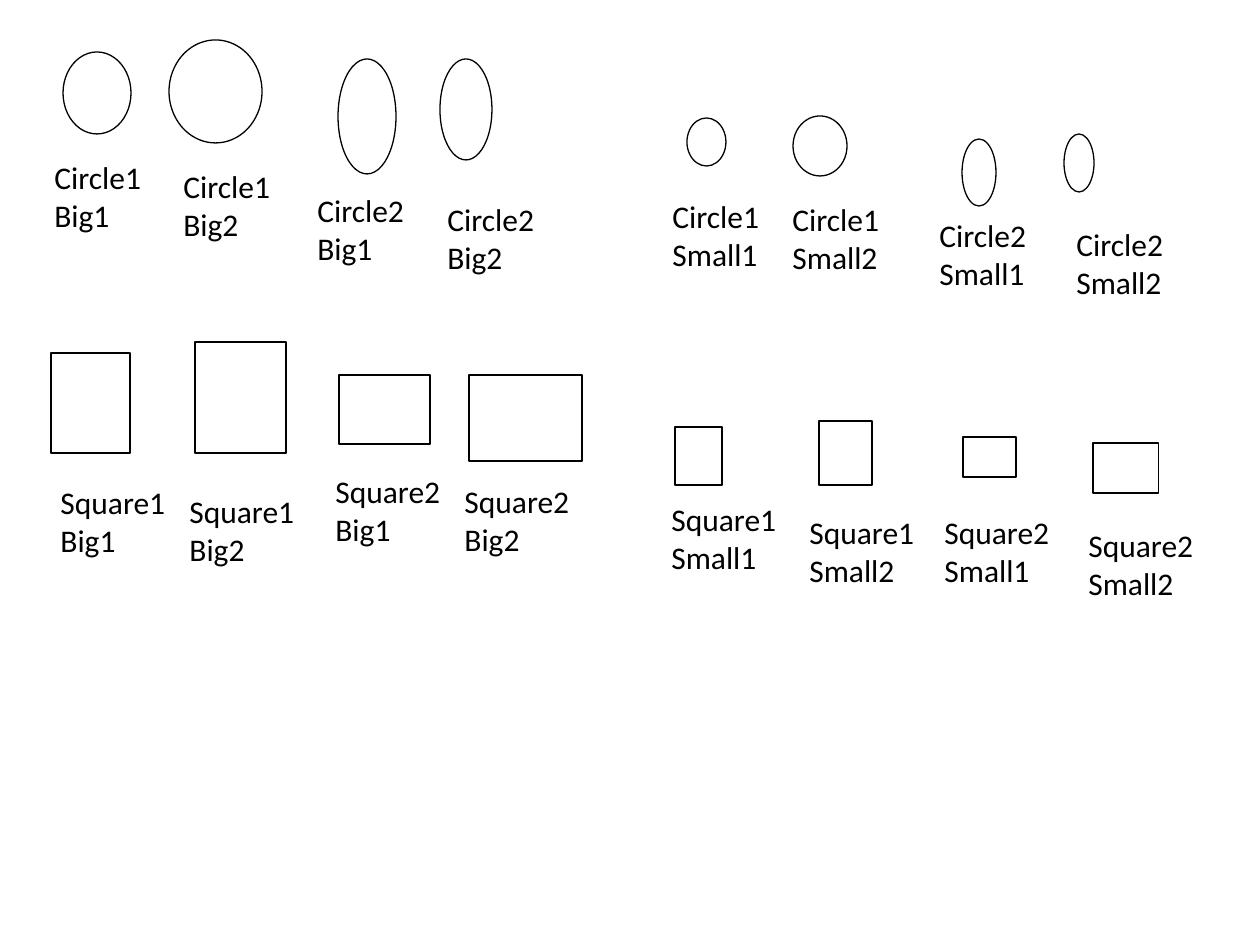
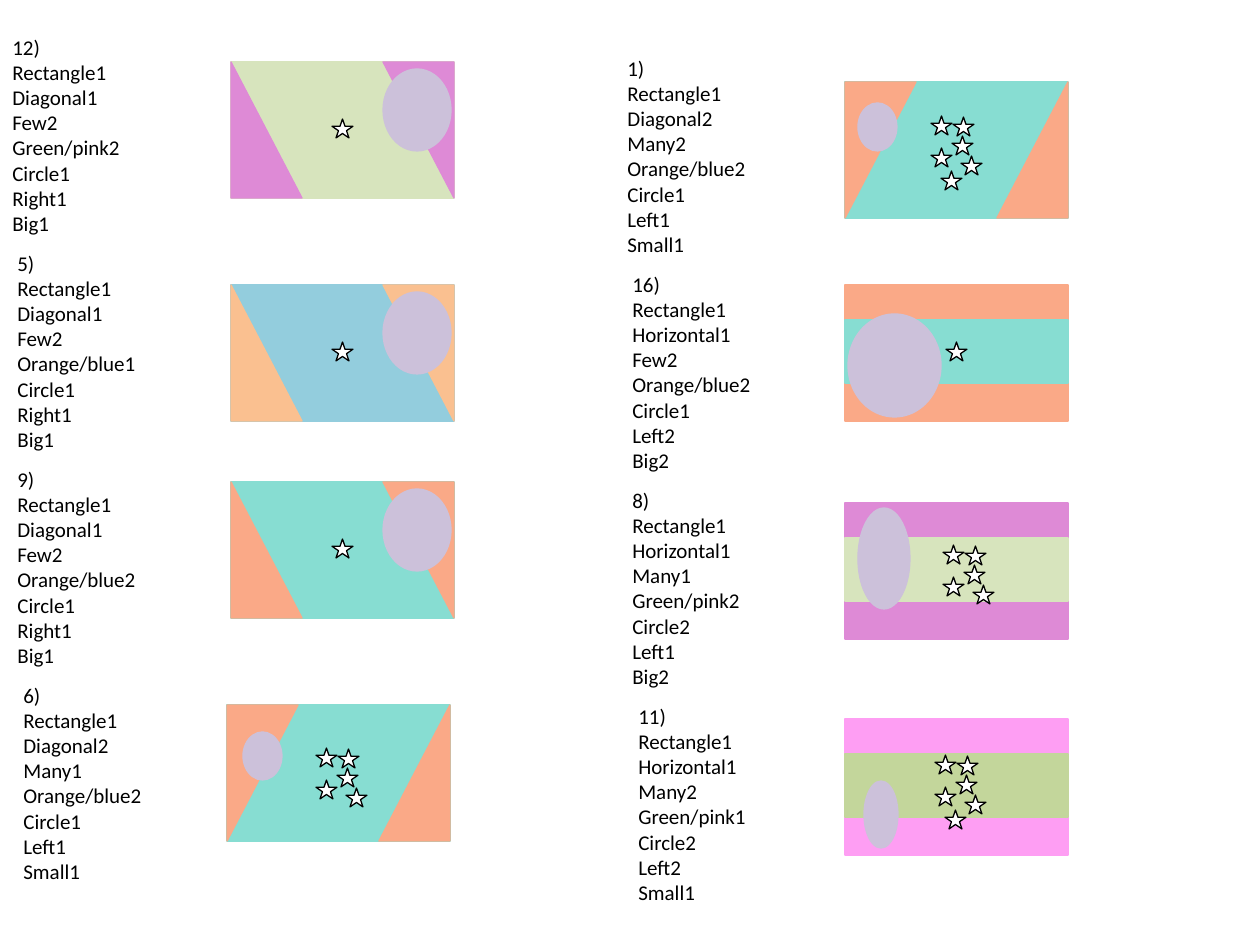
import pptx
import pptx.dml.color
import pptx.enum.shapes
import pptx.enum.text
import pptx.util

SCALE = pptx.util.Inches(1) / 126  # EMU per pixel
SHAPES = pptx.enum.shapes.MSO_SHAPE

THEME = {
    "font": "Calibri", "label size": 18, "list size": 12, "line width": 0.75,
    "ink": "000000", "paper": "FFFFFF", "spot": "CCC1DA",
    # band colour, edge colour
    "Green/pink1": ("C3D69B", "FE9EF3"),
    "Green/pink2": ("D7E4BD", "DE8AD6"),
    "Orange/blue1": ("93CDDD", "FAC090"),
    "Orange/blue2": ("87DDD2", "FAA987"),
}

# Width and height of each form, used on both slides
SIZES = {
    "Circle1 Big1": (68, 82), "Circle1 Big2": (93, 103),
    "Circle2 Big1": (58, 115), "Circle2 Big2": (52, 101),
    "Square1 Big1": (79, 100), "Square1 Big2": (91, 111),
    "Square2 Big1": (91, 69), "Square2 Big2": (113, 86),
    "Circle1 Small1": (39, 48), "Circle1 Small2": (54, 60),
    "Circle2 Small1": (34, 67), "Circle2 Small2": (30, 58),
    "Square1 Small1": (47, 58), "Square1 Small2": (53, 64),
    "Square2 Small1": (53, 40), "Square2 Small2": (66, 50),
}


def draw(shapes, kind, left, top, width, height, fill, line):
    box = [round(length * SCALE) for length in (left, top, width, height)]
    shape = shapes.add_shape(kind, *box)
    shape.shadow.inherit = False
    shape.fill.solid()
    shape.fill.fore_color.rgb = pptx.dml.color.RGBColor.from_string(fill)
    shape.line.color.rgb = pptx.dml.color.RGBColor.from_string(line)
    shape.line.width = pptx.util.Pt(THEME["line width"])
    return shape


def write(page, lines, left, top, width, height, size, wrap):
    box = [round(length * SCALE) for length in (left, top, width, height)]
    frame = page.shapes.add_textbox(*box).text_frame
    frame.word_wrap = wrap
    frame.auto_size = pptx.enum.text.MSO_AUTO_SIZE.SHAPE_TO_FIT_TEXT
    frame.text = "\n".join(lines)
    for para in frame.paragraphs:
        para.font.name = THEME["font"]
        para.font.size = pptx.util.Pt(size)
        para.font.color.rgb = pptx.dml.color.RGBColor.from_string(THEME["ink"])


deck = pptx.Presentation()
deck.slide_width = round(1260 * SCALE)
deck.slide_height = round(945 * SCALE)
blank = deck.slide_layouts[6]

# Slide 1: every form with its name
page = deck.slides.add_slide(blank)

# form, form left and top, label left, top and width
specimens = [
    ("Circle1 Big1", 63, 52, 42, 152, 113),
    ("Circle1 Big2", 169, 40, 171, 161, 113),
    ("Square1 Big1", 51, 353, 48, 477, 132),
    ("Square1 Big2", 195, 342, 177, 486, 132),
    ("Circle2 Big1", 338, 59, 305, 185, 113),
    ("Circle2 Big2", 440, 59, 435, 194, 113),
    ("Square2 Big1", 339, 375, 323, 466, 132),
    ("Square2 Big2", 469, 375, 452, 476, 132),
    ("Circle1 Small1", 687, 118, 660, 191, 135),
    ("Circle1 Small2", 793, 116, 780, 194, 134),
    ("Square1 Small1", 675, 427, 659, 494, 136),
    ("Square1 Small2", 819, 421, 797, 507, 150),
    ("Circle2 Small1", 962, 139, 927, 210, 130),
    ("Circle2 Small2", 1064, 134, 1064, 219, 175),
    ("Square2 Small1", 963, 437, 932, 507, 157),
    ("Square2 Small2", 1093, 443, 1076, 520, 163),
]
for name, left, top, label_left, label_top, label_width in specimens:
    kind = SHAPES.OVAL if name.startswith("Circle") else SHAPES.RECTANGLE
    draw(page.shapes, kind, left, top, *SIZES[name], THEME["paper"], THEME["ink"])
    write(page, name.split(), label_left, label_top, label_width, 89,
          THEME["label size"], wrap="Small" in name)

# Slide 2: panels composed from the traits listed beside them
page = deck.slides.add_slide(blank)
PANEL_WIDTH, PANEL_HEIGHT = 223, 136
TRIANGLE_WIDTH = 71
STRIPE_TOP, STRIPE_HEIGHT = 35, 63
STAR_SIZE = (21, 19)
STAR_CLUSTER = [(0, 0), (21, 20), (22, 1), (0, 32), (30, 40), (10, 55)]
STAR_COUNTS = {"Few2": 1, "Many1": 5, "Many2": 6}
LIST_STEP = 216
LIST_INDENTS = [0, 5, 5, 11]

# number, traits, panel left and top, offsets of spot and first star in the panel
left_column = [
    ("12)", "Diagonal1 Few2 Green/pink2 Circle1 Right1 Big1", 231, 62, (152, 7), (101, 57)),
    ("5)", "Diagonal1 Few2 Orange/blue1 Circle1 Right1 Big1", 231, 285, (152, 7), (101, 57)),
    ("9)", "Diagonal1 Few2 Orange/blue2 Circle1 Right1 Big1", 231, 482, (152, 7), (101, 57)),
    ("6)", "Diagonal2 Many1 Orange/blue2 Circle1 Left1 Small1", 227, 705, (16, 27), (89, 43)),
]
right_column = [
    ("1)", "Diagonal2 Many2 Orange/blue2 Circle1 Left1 Small1", 845, 82, (13, 21), (86, 34)),
    ("16)", "Horizontal1 Few2 Orange/blue2 Circle1 Left2 Big2", 845, 285, (3, 29), (101, 57)),
    ("8)", "Horizontal1 Many1 Green/pink2 Circle2 Left1 Big2", 845, 503, (13, 5), (98, 42)),
    ("11)", "Horizontal1 Many2 Green/pink1 Circle2 Left2 Small1", 845, 719, (19, 62), (90, 36)),
]
for list_left, list_top, column in ((0, 28, left_column), (615, 49, right_column)):
    for row, (number, traits, left, top, spot, star) in enumerate(column):
        traits = traits.split()
        pattern, amount, scheme, form, side, size = traits
        band, edge = THEME[scheme]

        # Trait list
        write(page, [number, "Rectangle1", *traits], list_left + LIST_INDENTS[row],
              list_top + LIST_STEP * row, 152, 217, THEME["list size"], wrap=True)

        # Background pattern
        base = edge if pattern == "Horizontal1" else band
        draw(page.shapes, SHAPES.RECTANGLE, left, top, PANEL_WIDTH, PANEL_HEIGHT, base, base)
        if pattern == "Horizontal1":
            draw(page.shapes, SHAPES.RECTANGLE, left, top + STRIPE_TOP,
                 PANEL_WIDTH, STRIPE_HEIGHT, band, band)
        else:
            corners = [left, left + PANEL_WIDTH - TRIANGLE_WIDTH]
            if pattern == "Diagonal2":
                corners.reverse()
            for corner, rotation in zip(corners, (0, 180)):
                triangle = draw(page.shapes, SHAPES.RIGHT_TRIANGLE, corner, top,
                                TRIANGLE_WIDTH, PANEL_HEIGHT, edge, edge)
                triangle.rotation = rotation
                if pattern == "Diagonal2":
                    triangle._element.spPr.xfrm.set("flipH", "1")

        # Spot
        draw(page.shapes, SHAPES.OVAL, left + spot[0], top + spot[1],
             *SIZES[f"{form} {size}"], THEME["spot"], THEME["spot"])

        # Stars, grouped when there are several
        count = STAR_COUNTS[amount]
        holder = page.shapes if count == 1 else page.shapes.add_group_shape().shapes
        for across, down in STAR_CLUSTER[:count]:
            draw(holder, SHAPES.STAR_5_POINT, left + star[0] + across,
                 top + star[1] + down, *STAR_SIZE, THEME["paper"], THEME["ink"])

deck.save("out.pptx")
